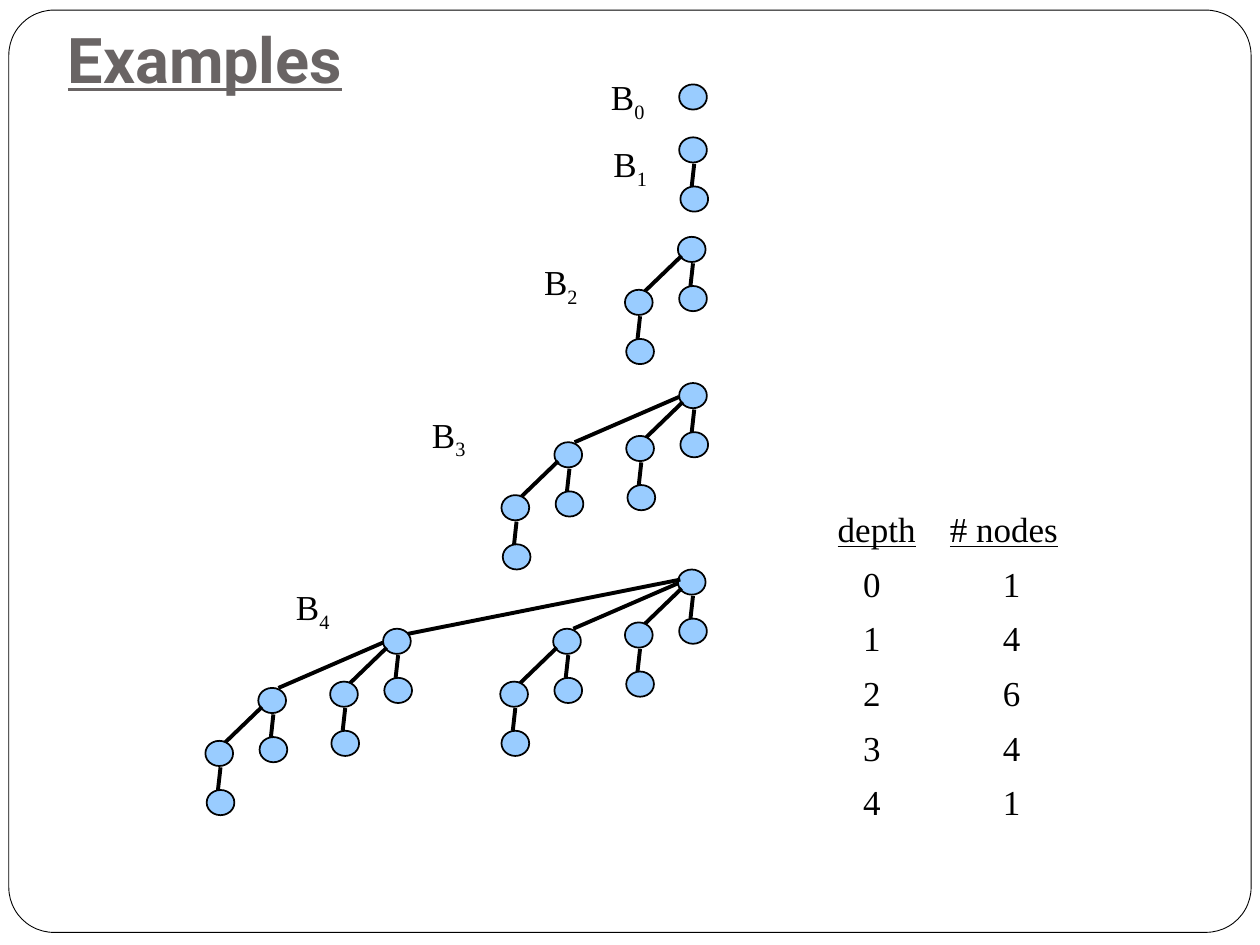
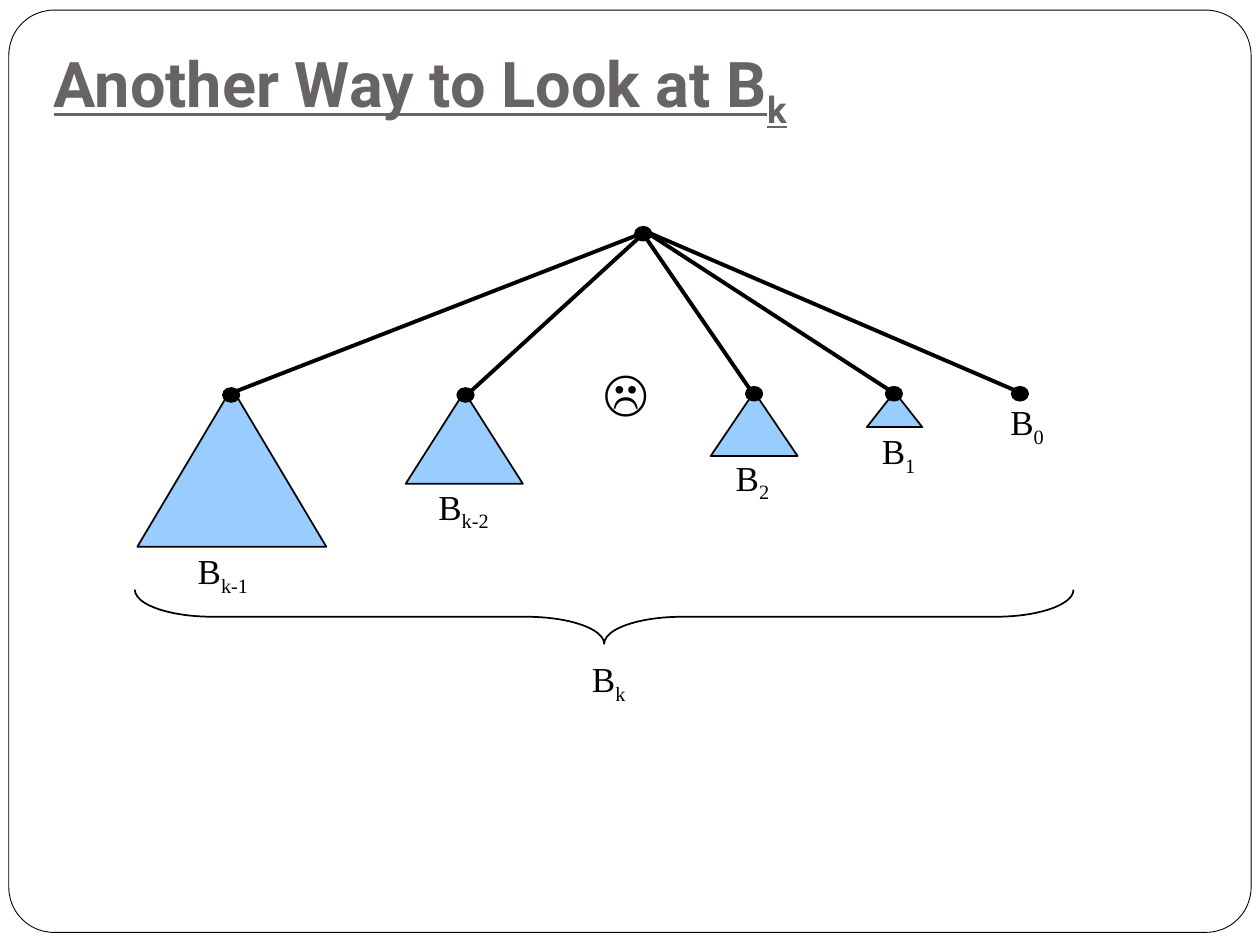
from lxml.etree import SubElement
from pptx import Presentation
from pptx.dml.color import RGBColor
from pptx.enum.shapes import MSO_CONNECTOR, MSO_SHAPE
from pptx.enum.text import MSO_ANCHOR, MSO_AUTO_SIZE
from pptx.oxml.ns import qn
from pptx.util import Inches, Pt

BLACK, WHITE, BLUE, GRAY = "000000", "FFFFFF", "99CCFF", "696464"
SERIF, SANS = "Times New Roman", "Roboto"


def draw(slide, kind, box, fill, width=1):
    shape = slide.shapes.add_shape(kind, *map(Inches, box))
    shape.shadow.inherit = False
    if fill:
        shape.fill.solid()
        shape.fill.fore_color.rgb = RGBColor.from_string(fill)
    else:
        shape.fill.background()
    shape.line.color.rgb = RGBColor.from_string(BLACK)
    shape.line.width = Pt(width)
    return shape


def write(slide, box, text, more=(), size=20, font=SERIF, color=BLACK):
    frame = slide.shapes.add_textbox(*map(Inches, box)).text_frame
    frame.word_wrap = False
    frame.auto_size = MSO_AUTO_SIZE.SHAPE_TO_FIT_TEXT
    frame.text = text
    for part in more:
        frame.paragraphs[0].add_run().text = part
    for para in frame.paragraphs:
        for run in para.runs:
            run.font.size = Pt(size)
            run.font.name = font
            run.font.color.rgb = RGBColor.from_string(color)
    return frame


steps = [
    (0.01, 0.39, 0.12, 0.21, 0.1, 0.39),
    (-0.42, 0.42, -0.26, 0.43, 0.03, 0.15),
    (-0.99, 0.47, -0.83, 0.47, 0, 0.11),
    (-2.34, 0.47, -2.14, 0.51, 0.02, 0.08),
]
roots = [(5.39, 0.67), (5.39, 1.09), (5.38, 1.88), (5.39, 3.04), (5.38, 4.52)]
nodes, edges = [], []
queue = [(x, y, rank) for rank, (x, y) in enumerate(roots)]
while queue:
    x, y, rank = queue.pop()
    nodes.append((MSO_SHAPE.OVAL, (x, y, 0.22, 0.2), BLUE))
    for child, (dx, dy, x1, y1, x2, y2) in enumerate(steps[:rank]):
        queue.append((x + dx, y + dy, child))
        edges.append((x + x1, y + y1, x + x2, y + y2))
names = [
    (4.75, 0.55, "0"), (4.77, 1.08, "1"), (4.22, 2.02, "2"),
    (3.33, 3.23, "3"), (2.25, 4.6, "4"),
]

cones = [
    (1.09, 3.08, 1.5, 1.26), (3.22, 3.11, 0.93, 0.73),
    (5.64, 3.11, 0.69, 0.51), (6.88, 3.11, 0.44, 0.28),
]
dots = [(1.77, 3.08), (3.63, 3.08), (5.92, 3.07), (7.03, 3.07), (8.03, 3.07), (5.04, 1.8)]
parts = [(MSO_SHAPE.ISOSCELES_TRIANGLE, box, BLUE) for box in cones]
parts += [(MSO_SHAPE.OVAL, (x, y, 0.13, 0.11), BLACK) for x, y in dots]
rays = [
    (5.1, 1.85, 1.81, 3.13), (5.1, 1.86, 3.71, 3.13), (5.1, 1.85, 5.98, 3.13),
    (5.11, 1.83, 7.11, 3.13), (5.11, 1.83, 8.13, 3.13),
]
tags = [
    (1.47, 4.31, "k-1"), (3.38, 3.8, "k-2"), (5.74, 3.57, "2"),
    (6.9, 3.36, "1"), (7.92, 3.13, "0"), (4.6, 5.17, "k"),
]

pages = [
    ("Examples", "", 0.44, 0.18, nodes, edges, names),
    ("Another Way to Look at B", "k", 0.33, 0.46, parts, rays, tags),
]

prs = Presentation()
prs.slide_width, prs.slide_height = Inches(10), Inches(7.5)
slides = []
for title, low, left, top, forms, lines, labels in pages:
    slide = prs.slides.add_slide(prs.slide_layouts[6])
    slides.append(slide)
    border = draw(slide, MSO_SHAPE.ROUNDED_RECTANGLE, (0.07, 0.08, 9.86, 7.32), WHITE, 0.5)
    border.adjustments[0] = 0.049

    head = write(slide, (left, top, 8.5, 0.68), title, low, 36, SANS, GRAY)
    head.word_wrap = True
    head.auto_size = MSO_AUTO_SIZE.NONE
    head.vertical_anchor = MSO_ANCHOR.BOTTOM
    head.margin_bottom = Inches(0.1)
    for run in head.paragraphs[0].runs:
        run.font.bold = run.font.underline = True

    for kind, box, fill in forms:
        draw(slide, kind, box, fill)
    for ends in lines:
        line = slide.shapes.add_connector(MSO_CONNECTOR.STRAIGHT, *map(Inches, ends))
        line.line.color.rgb = RGBColor.from_string(BLACK)
        line.line.width = Pt(2.25)
        SubElement(line._element.spPr, qn("a:effectLst"))
    frames = [head]
    for x, y, sub in labels:
        width = 0.65 if len(sub) > 1 else 0.5
        frames.append(write(slide, (x, y, width, 0.48), "B", [sub]))
    for frame in frames:
        for run in frame.paragraphs[0].runs[1:]:
            run.font._element.set("baseline", "-25000")

trees, look = slides
counts = [1, 4, 6, 4, 1]
rows = ["depth"] + [f"\t{depth}\t{count}" for depth, count in enumerate(counts)]
table = write(trees, (6.55, 3.98, 1.95, 2.6), "\n".join(rows), ["\t", "# nodes"])
table.word_wrap = True
for row, para in enumerate(table.paragraphs):
    if row:
        para.line_spacing = 1.3
    stops = [(0.27, "ctr"), (1.38, "ctr")] if row else [(0.89, "l")]
    tabs = SubElement(para._p.get_or_add_pPr(), qn("a:tabLst"))
    for place, align in stops:
        SubElement(tabs, qn("a:tab"), pos=str(Inches(place)), algn=align)
for run in table.paragraphs[0].runs:
    run.font.underline = run.text != "\t"

write(look, (4.69, 2.82, 0.59, 0.57), "☹", size=28, font=SANS)
brace = draw(look, MSO_SHAPE.LEFT_BRACE, (4.58, 1.17, 0.43, 7.45), None)
brace.rotation = 270
brace.adjustments[0] = 1.44

prs.save("out.pptx")
